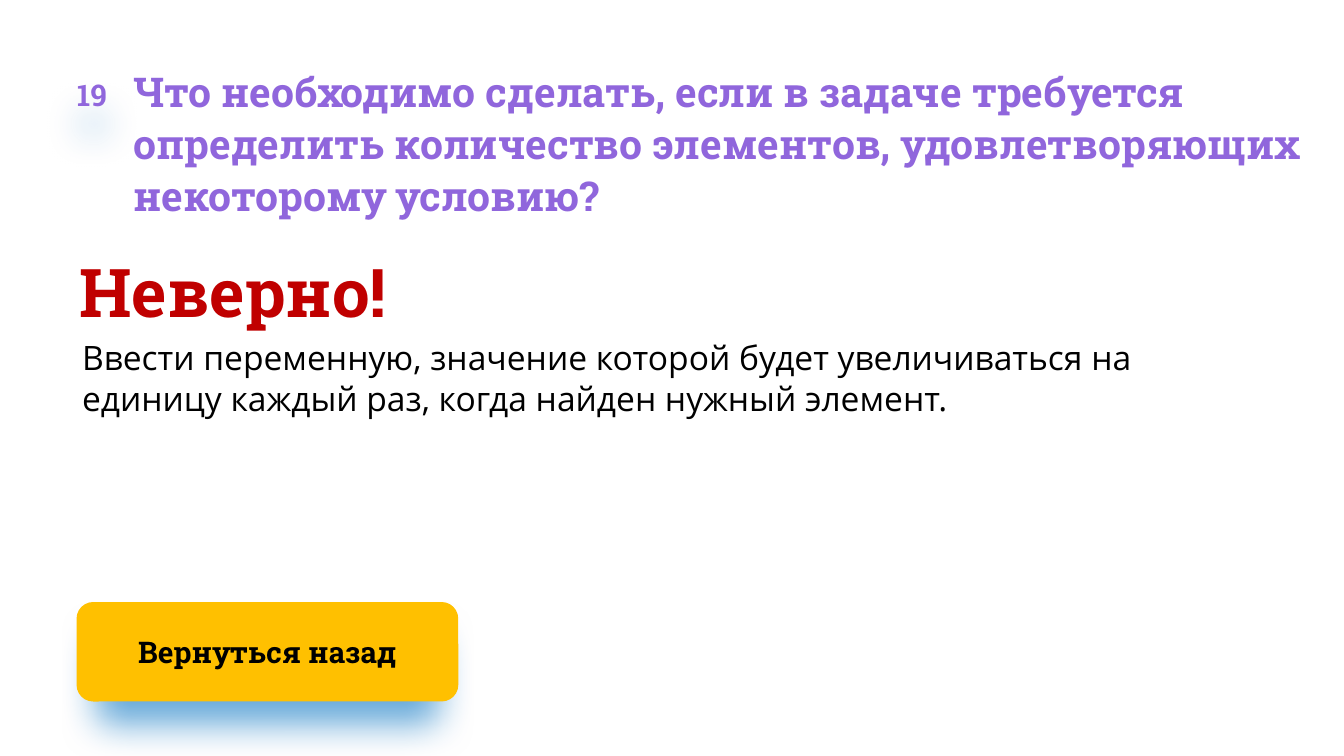
from dataclasses import dataclass
from typing import Optional

from lxml.etree import SubElement
from pptx import Presentation
from pptx.dml.color import RGBColor
from pptx.enum.shapes import MSO_SHAPE
from pptx.enum.text import MSO_ANCHOR, MSO_AUTO_SIZE, PP_ALIGN
from pptx.oxml.ns import qn
from pptx.util import Inches, Pt

CELL = 0.1
COLUMNS, ROWS = 100, 56.25
SLAB, SANS = "Roboto Slab", "Open Sans"
PURPLE, RED, BLACK, AMBER, BLUE = "9066DC", "C00000", "000000", "FFC000", "0070C0"


@dataclass(frozen=True)
class Area:
    column: float
    row: float
    columns: float
    rows: float


@dataclass(frozen=True)
class Style:
    size: float
    color: str
    font: str = SLAB
    bold: bool = True
    align: PP_ALIGN = PP_ALIGN.LEFT
    anchor: MSO_ANCHOR = MSO_ANCHOR.TOP
    spacing: float = 1.0
    insets: tuple = (0, 0, 0, 0)
    grow: bool = True


@dataclass(frozen=True)
class Tile:
    text: str
    area: Area
    style: Style
    fill: Optional[str]


def cells(count: float) -> int:
    return Inches(count * CELL)


def rgb(value: str) -> RGBColor:
    return RGBColor.from_string(value)


def place(box, area: Area) -> None:
    box.left, box.top = cells(area.column), cells(area.row)
    box.width, box.height = cells(area.columns), cells(area.rows)


def write(box, text: str, style: Style) -> None:
    frame = box.text_frame
    frame.word_wrap = True
    frame.auto_size = MSO_AUTO_SIZE.SHAPE_TO_FIT_TEXT if style.grow else MSO_AUTO_SIZE.NONE
    frame.vertical_anchor = style.anchor
    (frame.margin_left, frame.margin_top,
     frame.margin_right, frame.margin_bottom) = map(cells, style.insets)
    frame.text = text
    para = frame.paragraphs[0]
    para.alignment = style.align
    para.line_spacing = style.spacing
    para.font.name = style.font
    para.font.size = Pt(style.size)
    para.font.bold = style.bold
    para.font.color.rgb = rgb(style.color)


def add_text(page, text: str, area: Area, style: Style) -> None:
    box = page.shapes.add_textbox(0, 0, 0, 0)
    place(box, area)
    write(box, text, style)


def add_shadow(box, color: str, alpha: int) -> None:
    box.shadow.inherit = False
    effects = box.element.spPr.find(qn("a:effectLst"))
    shadow = SubElement(effects, qn("a:outerShdw"), blurRad=str(Pt(20)), dist=str(Pt(15)),
                        dir=str(90 * 60000), sx="90000", sy="90000", algn="ctr",
                        rotWithShape="0")
    tint = SubElement(shadow, qn("a:srgbClr"), val=color)
    SubElement(tint, qn("a:alpha"), val=str(alpha * 1000))


def add_tile(page, tile: Tile) -> None:
    box = page.shapes.add_shape(MSO_SHAPE.ROUNDED_RECTANGLE, 0, 0, 0, 0)
    place(box, tile.area)
    if tile.fill:
        box.fill.solid()
        box.fill.fore_color.rgb = rgb(tile.fill)
    else:
        box.fill.background()
    box.line.fill.background()
    add_shadow(box, BLUE, 60)
    write(box, tile.text, tile.style)


def main() -> None:
    deck = Presentation()
    deck.slide_width, deck.slide_height = cells(COLUMNS), cells(ROWS)
    page = deck.slides.add_slide(deck.slide_layouts[5])

    question = page.shapes.title
    place(question, Area(9.9, 4.7, 88.1, 11.6))
    write(question,
          "Что необходимо сделать, если в задаче требуется определить количество "
          "элементов, удовлетворяющих некоторому условию?",
          Style(22, PURPLE, spacing=1.06))

    add_text(page, "Неверно!", Area(5.9, 18.3, 28, 6.1), Style(36, RED, spacing=1.06))
    add_text(page,
             "Ввести переменную, значение которой будет увеличиваться на единицу "
             "каждый раз, когда найден нужный элемент.",
             Area(4.7, 25.1, 80.9, 6.1),
             Style(18, BLACK, font=SANS, bold=False, insets=(1.4, 0, 0, 0)))

    centred = {"align": PP_ALIGN.CENTER, "anchor": MSO_ANCHOR.MIDDLE}
    tiles = [
        Tile("Вернуться назад", Area(5.7, 44.8, 28.4, 7.4),
             Style(16, BLACK, insets=(3.9, 2, 3.9, 2), **centred), AMBER),
        Tile("19", Area(3.9, 4.1, 5.9, 5.9),
             Style(16, PURPLE, grow=False, **centred), None),
    ]
    for tile in tiles:
        add_tile(page, tile)

    deck.save("out.pptx")


if __name__ == "__main__":
    main()
